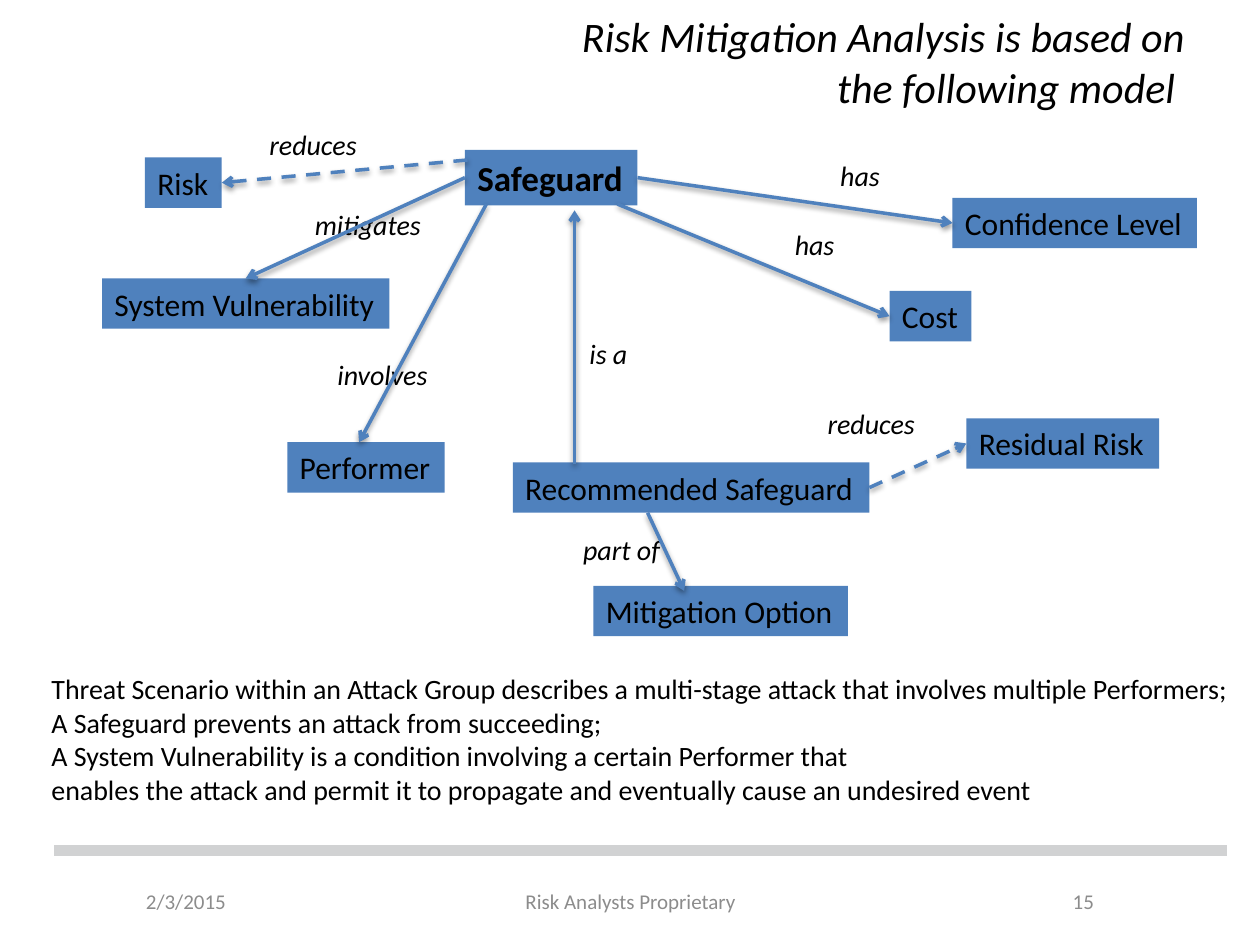
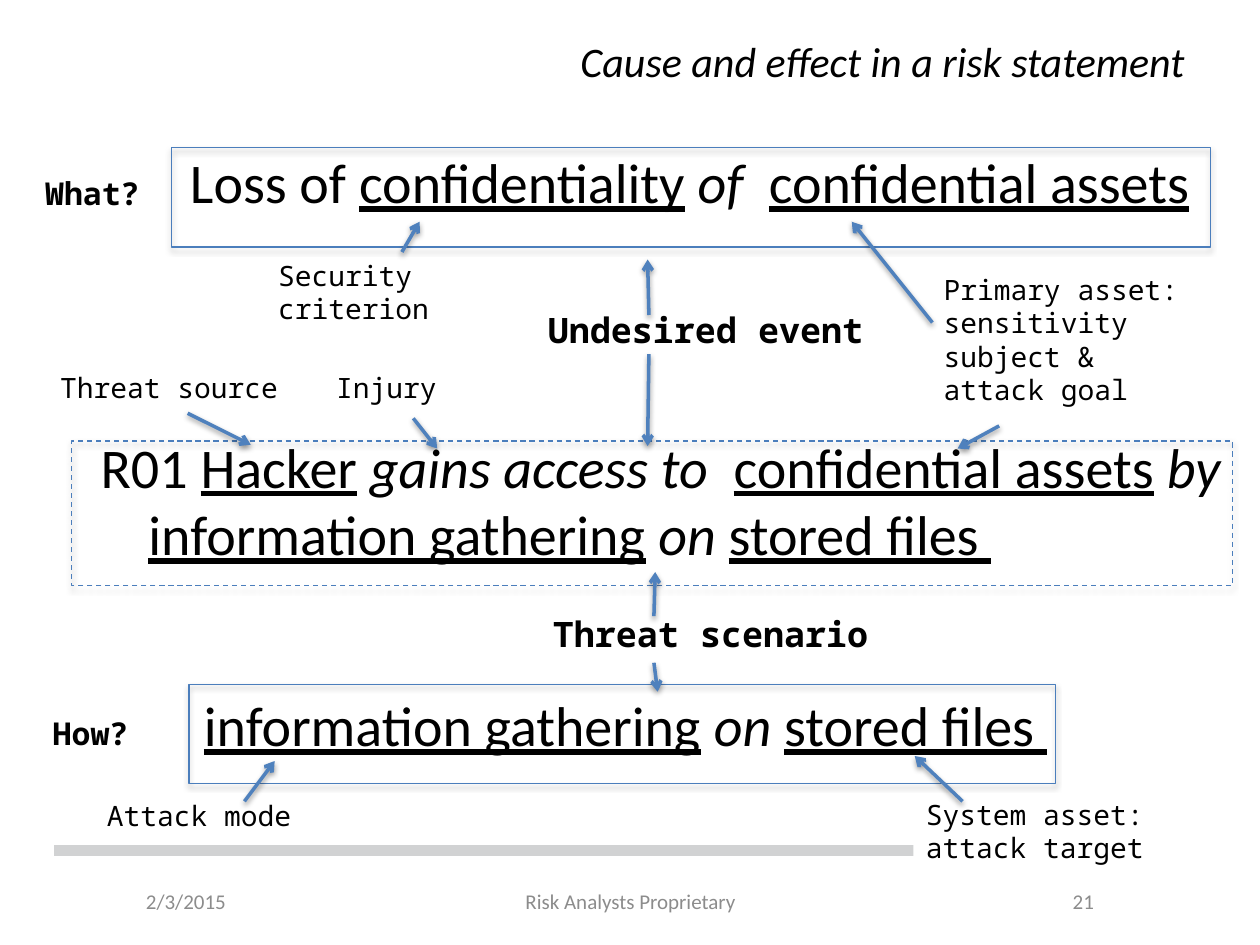
"""Build two slides on risk: a safeguard model and a risk statement."""
from typing import NamedTuple, Optional

from lxml import etree
from pptx import Presentation, util as u
from pptx.dml import color
from pptx.enum import dml, shapes, text
from pptx.oxml import ns

WIDE, HIGH = u.Inches(10), u.Inches(7.5)
COLS, ROWS = 100, 75
BLUE, EDGE, GREY, RULE = "4F81BD", "4B7EBC", "8C8C8C", "D1D2D3"
BLACK, WHITE = "000000", "FFFFFF"
SANS, MONO = "Calibri", "Noto Sans Mono"
LEFT, MID, RIGHT = (text.PP_ALIGN.LEFT, text.PP_ALIGN.CENTER,
                    text.PP_ALIGN.RIGHT)
TOP, CORE = text.MSO_ANCHOR.TOP, text.MSO_ANCHOR.MIDDLE


class Style(NamedTuple):
    """Look of a box and its text."""
    font: dict
    ink: str = BLACK
    fill: Optional[str] = None
    align: int = LEFT
    anchor: int = TOP
    wrap: bool = True
    hang: float = 0


class Box(NamedTuple):
    """Text at a place on the grid."""
    left: float
    top: float
    wide: float
    high: float
    words: str
    style: str


class Frame(NamedTuple):
    """Outlined area on the grid."""
    left: float
    top: float
    wide: float
    high: float
    dash: bool = False


class Arrow(NamedTuple):
    """Arrow between two grid points, joined to named boxes if given."""
    x1: float
    y1: float
    x2: float
    y2: float
    dash: bool = False
    start: Optional[tuple] = None
    stop: Optional[tuple] = None


def face(size: float, name: str = SANS, **more: bool) -> dict:
    """Return font format values."""
    return {"name": name, "size": u.Pt(size), **more}


STYLES = {
    "title": Style(face(24, italic=True), align=RIGHT, anchor=CORE),
    "date": Style(face(12), GREY, anchor=CORE),
    "foot": Style(face(12), GREY, align=MID, anchor=CORE),
    "page": Style(face(12), GREY, align=RIGHT, anchor=CORE),
    "chip": Style(face(18), fill=BLUE, wrap=False),
    "lead": Style(face(20, bold=True), fill=BLUE, wrap=False),
    "verb": Style(face(16, italic=True), wrap=False),
    "note": Style(face(16)),
    "claim": Style(face(32), hang=3.8),
    "label": Style(face(16, MONO)),
    "patch": Style(face(16, MONO), fill=WHITE),
    "ask": Style(face(18, MONO, bold=True)),
    "event": Style(face(20, MONO, bold=True)),
}

MODEL = [
    Box(36.9, 11.9, 13.7, 4.4, "Safeguard", "lead"),
    Box(8.1, 22.1, 22.8, 4, "System Vulnerability", "chip"),
    Box(22.8, 35.1, 12.5, 4, "Performer", "chip"),
    Box(70.6, 23.1, 6.5, 4, "Cost", "chip"),
    Box(75.6, 15.7, 19.4, 4, "Confidence Level", "chip"),
    Box(40.7, 36.7, 28.3, 4, "Recommended Safeguard", "chip"),
    Box(47.1, 46.5, 20.2, 4, "Mitigation Option", "chip"),
    Box(11.5, 12.5, 6.1, 4, "Risk", "chip"),
    Box(76.7, 33.2, 15.3, 4, "Residual Risk", "chip"),
    Box(25.8, 27.9, 9.8, 3.7, "involves", "verb"),
    Box(24, 16, 11.1, 3.7, "mitigates", "verb"),
    Box(65.7, 12.1, 5.7, 3.7, "has", "verb"),
    Box(62.1, 17.6, 5.7, 3.7, "has", "verb"),
    Box(45.3, 41.8, 8.7, 3.7, "part of", "verb"),
    Box(45.8, 26.2, 5.7, 3.7, "is a", "verb"),
    Box(20.4, 9.6, 9.6, 3.7, "reduces", "verb"),
    Box(64.7, 31.8, 9.6, 3.7, "reduces", "verb"),
    Box(3.1, 52.8, 96.9, 11.8,
        "Threat Scenario within an Attack Group describes a multi-stage "
        "attack that involves multiple Performers;\n"
        "A Safeguard prevents an attack from succeeding;\n"
        "A System Vulnerability is a condition involving a certain "
        "Performer that\n"
        "enables the attack and permit it to propagate and eventually "
        "cause an undesired event", "note"),
]
LINKS = [
    Arrow(36.9, 14.1, 19.5, 22.1, False, ("Safeguard", 1),
          ("System Vulnerability", 0)),
    Arrow(38.6, 16.2, 28.5, 35.1),
    Arrow(50.6, 14.1, 75.6, 17.7, False, ("Safeguard", 3),
          ("Confidence Level", 1)),
    Arrow(49, 16.2, 70.6, 25.1, stop=("Cost", 1)),
    Arrow(51.4, 40.7, 54.3, 46.9),
    Arrow(45.6, 36.8, 45.6, 16.7),
    Arrow(37.1, 12.7, 17.6, 14.5, True, stop=("Risk", 3)),
    Arrow(69, 38.7, 76.7, 35.2, True, ("Recommended Safeguard", 3),
          ("Residual Risk", 1)),
]
PARTS = [
    Box(7, 33.8, 91.4, 14.1,
        "R01 _Hacker_ *gains access to  *_confidential assets_ *by *"
        "_information gathering_ *on *_stored files _", "claim"),
    Box(14.1, 11.2, 91.4, 8.2,
        "Loss of _confidentiality_ *of  *_confidential assets_", "claim"),
    Box(15.2, 54.3, 91.4, 8.2,
        "_information gathering_ *on *_stored files _", "claim"),
    Box(3.8, 28.9, 20, 3.7, "Threat source", "label"),
    Box(25.7, 28.9, 12.5, 3.7, "Injury", "label"),
    Box(73.9, 21.1, 26.1, 12.1,
        "Primary asset: sensitivity subject &\nattack goal", "label"),
    Box(21.1, 20, 21.5, 6.4, "Security criterion", "label"),
    Box(7.5, 62.9, 21.7, 3.7, "Attack mode", "patch"),
    Box(72.5, 62.8, 25.4, 6.4, "System asset: attack target", "patch"),
    Box(42.5, 24, 30, 4.4, "Undesired event", "event"),
    Box(42.9, 48.1, 30, 4.4, "Threat scenario", "event"),
    Box(2.6, 13.3, 12.5, 4, "What?", "ask"),
    Box(3.2, 56.2, 12.5, 4, "How?", "ask"),
]
FRAMES = [
    Frame(13.6, 11.7, 82.5, 7.9),
    Frame(5.7, 35, 92.1, 11.5, True),
    Frame(15, 54.3, 68.8, 7.9),
]
HINTS = [Arrow(*ends) for ends in (
    (14.9, 32.8, 19.9, 35.3), (32.8, 33.2, 34.7, 35.6),
    (79.3, 33.8, 76, 35.6), (19.4, 63.6, 21.8, 60.4),
    (76.4, 63.6, 72.6, 60), (51.5, 28.1, 51.4, 35.4),
    (51.5, 25, 51.4, 20.6), (31.9, 20, 33.3, 17.6),
    (74, 25.6, 67.6, 17.6), (51.9, 52.6, 52.2, 54.9),
    (51.9, 48.9, 52, 45.4))]


def col(n: float) -> int:
    """Turn grid columns into a length."""
    return round(WIDE * n / COLS)


def row(n: float) -> int:
    """Turn grid rows into a length."""
    return round(HIGH * n / ROWS)


def tint(hue: str) -> color.RGBColor:
    """Turn a hex string into a colour."""
    return color.RGBColor.from_string(hue)


def stroke(line, hue: str, width: float, dash: bool = False) -> None:
    """Format a line."""
    line.color.rgb = tint(hue)
    line.width = u.Pt(width)
    if dash:
        line.dash_style = dml.MSO_LINE.DASH


def shade(shape, alpha: int = 0, dist: int = 0) -> None:
    """Set a soft shadow below a shape, or none when alpha is zero."""
    props = shape._element.spPr
    for old in props.findall(ns.qn("a:effectLst")):
        props.remove(old)
    group = etree.SubElement(props, ns.qn("a:effectLst"))
    if alpha:
        cast = etree.SubElement(group, ns.qn("a:outerShdw"), blurRad="40000",
                                dist=str(dist), dir="5400000", rotWithShape="0")
        hue = etree.SubElement(cast, ns.qn("a:srgbClr"), val=BLACK)
        etree.SubElement(hue, ns.qn("a:alpha"), val=str(alpha * 1000))


def write(para, words: str, style: Style) -> None:
    """Fill a paragraph; _x_ is underlined and *x* is italic."""
    para.alignment = style.align
    if style.hang:
        props = para._p.get_or_add_pPr()
        props.set("marL", str(col(style.hang)))
        props.set("indent", str(-col(style.hang)))
    for i, span in enumerate(words.split("_")):
        for j, bit in enumerate(span.split("*")):
            for k, piece in enumerate(bit.split("\v")):
                if k:
                    para.add_line_break()
                if not piece:
                    continue
                run = para.add_run()
                run.text = piece
                looks = dict(style.font)
                if i % 2:
                    looks["underline"] = True
                if j % 2:
                    looks["italic"] = True
                for key, value in looks.items():
                    setattr(run.font, key, value)
                run.font.color.rgb = tint(style.ink)


def place(slide, box: Box):
    """Draw a text box, or a filled rectangle with text."""
    style = STYLES[box.style]
    spot = col(box.left), row(box.top), col(box.wide), row(box.high)
    if style.fill:
        shape = slide.shapes.add_shape(shapes.MSO_SHAPE.RECTANGLE, *spot)
        shape.fill.solid()
        shape.fill.fore_color.rgb = tint(style.fill)
        shape.line.fill.background()
        shape.shadow.inherit = False
    else:
        shape = slide.shapes.add_textbox(*spot)
    body = shape.text_frame
    body.word_wrap = style.wrap
    body.vertical_anchor = style.anchor
    for n, words in enumerate(box.words.split("\n")):
        write(body.add_paragraph() if n else body.paragraphs[0], words, style)
    return shape


def border(slide, item: Frame) -> None:
    """Draw an unfilled frame."""
    shape = slide.shapes.add_shape(
        shapes.MSO_SHAPE.RECTANGLE, col(item.left), row(item.top),
        col(item.wide), row(item.high))
    shape.fill.background()
    stroke(shape.line, EDGE, 0.75, item.dash)
    shade(shape, 35, 23000)


def join(slide, x1: float, y1: float, x2: float, y2: float):
    """Add a straight connector."""
    return slide.shapes.add_connector(
        shapes.MSO_CONNECTOR.STRAIGHT, col(x1), row(y1), col(x2), row(y2))


def point(slide, item: Arrow, made: dict) -> None:
    """Draw an arrow."""
    link = join(slide, *item[:4])
    if item.start:
        link.begin_connect(made[item.start[0]], item.start[1])
    if item.stop:
        link.end_connect(made[item.stop[0]], item.stop[1])
    stroke(link.line, BLUE, 2, item.dash)
    etree.SubElement(link.line._get_or_add_ln(), ns.qn("a:tailEnd"),
                     type="arrow")
    shade(link, 38, 20000)


def build(deck, title: str, page: str, boxes: list, frames: list,
          arrows: list) -> None:
    """Add a slide with title, footer and its own parts."""
    slide = deck.slides.add_slide(deck.slide_layouts[6])
    rule = join(slide, 4.3, 67.5, 97.4, 67.5)
    stroke(rule.line, RULE, 6)
    shade(rule)
    shared = [
        Box(10.6, 69.5, 17.7, 4, "2/3/2015", "date"),
        Box(34.2, 69.5, 31.7, 4, "Risk Analysts Proprietary", "foot"),
        Box(71.7, 69.5, 16.1, 4, page, "page"),
        Box(5, 2.1, 90, 5.5, title, "title"),
    ]
    made = {box.words: place(slide, box) for box in shared + boxes}
    for item in frames:
        border(slide, item)
    for item in arrows:
        point(slide, item, made)


def main() -> None:
    """Build and save the deck."""
    deck = Presentation()
    deck.slide_width, deck.slide_height = WIDE, HIGH
    build(deck, "Risk Mitigation Analysis is based on\vthe following model ",
          "15", MODEL, [], LINKS)
    build(deck, "Cause and effect in a risk statement", "21", PARTS, FRAMES,
          HINTS)
    deck.save("out.pptx")


if __name__ == "__main__":
    main()
